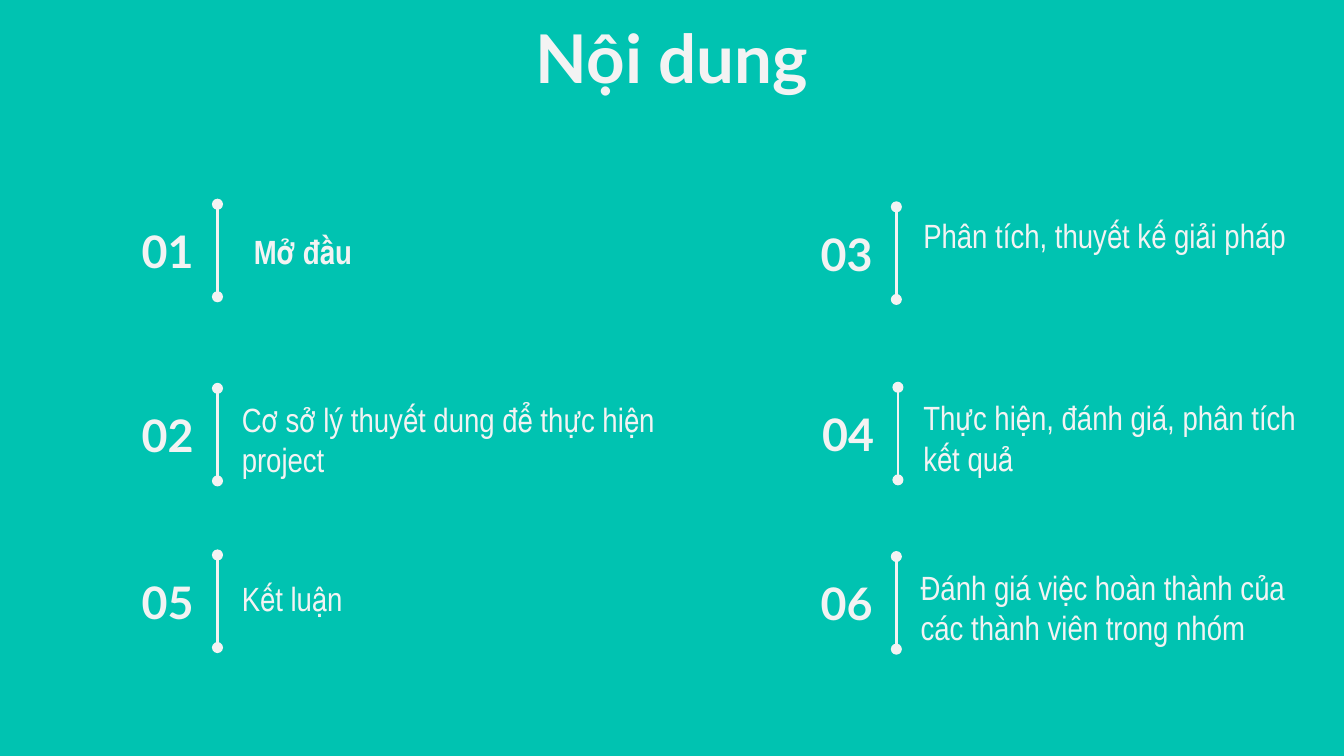
"""Build the contents slide with six numbered topics."""
import pptx
import pptx.util
import pptx.dml.color
import pptx.enum.shapes
import pptx.enum.text
import pptx.oxml.ns
import lxml.etree

Cm, Pt = pptx.util.Cm, pptx.util.Pt
ALIGN = pptx.enum.text.PP_ALIGN
ANCHOR = pptx.enum.text.MSO_ANCHOR
COLORS = {"background": "00C3B1", "text": "F3F3F3"}
HEADING = {"name": "Lato", "bold": True}
BODY = {"name": "Arial Narrow", "size": Pt(18)}


class ContentsSlide:
    def __init__(self, prs):
        self.s = prs.slides.add_slide(prs.slide_layouts[5])
        fill = self.s.background.fill
        fill.solid()
        fill.fore_color.rgb = self.color("background")

    def color(self, key):
        return pptx.dml.color.RGBColor.from_string(COLORS[key])

    def fill_text(self, sp, text, font, align, anchor, after=0):
        tf = sp.text_frame
        frame = {"word_wrap": True, "auto_size": pptx.enum.text.MSO_AUTO_SIZE.NONE,
                 "vertical_anchor": anchor}
        frame.update({f"margin_{side}": Cm(0.25) for side in ("left", "top", "right", "bottom")})
        for name, value in frame.items():
            setattr(tf, name, value)
        p = tf.paragraphs[0]
        p.alignment = align
        p.space_after = Pt(after)
        r = p.add_run()
        r.text = text
        for name, value in font.items():
            setattr(r.font, name, value)
        r.font.color.rgb = self.color("text")

    def title(self, text, x, y, w, h):
        sp = self.s.shapes.title
        for name, value in {"left": x, "top": y, "width": w, "height": h}.items():
            setattr(sp, name, Cm(value))
        self.fill_text(sp, text, {**HEADING, "size": Pt(36)}, ALIGN.CENTER, ANCHOR.MIDDLE)

    def text(self, text, box, font, align, anchor, after=0):
        sp = self.s.shapes.add_textbox(*map(Cm, box))
        self.fill_text(sp, text, font, align, anchor, after)

    def divider(self, x, y, length):
        kind = pptx.enum.shapes.MSO_CONNECTOR.STRAIGHT
        sp = self.s.shapes.add_connector(kind, Cm(x), Cm(y), Cm(x), Cm(y + length))
        sp.line.width = Pt(1.5)
        sp.line.color.rgb = self.color("text")
        qn = pptx.oxml.ns.qn
        ln = sp._element.spPr.get_or_add_ln()
        for end in ("a:headEnd", "a:tailEnd"):
            lxml.etree.SubElement(ln, qn(end), type="oval")
        lxml.etree.SubElement(sp._element.spPr, qn("a:effectLst"))

    def topic(self, number, text, x, y, box, bold=False, align=ALIGN.LEFT):
        self.text(f"{number:02}", (x - 1.88, y + 0.29, 1.68, 1.17),
                  {**HEADING, "size": Pt(24)}, ALIGN.RIGHT, ANCHOR.MIDDLE)
        self.divider(x, y, 1.75)
        self.text(text, box, {**BODY, "bold": bold}, align, ANCHOR.TOP, 16)


def main():
    prs = pptx.Presentation()
    prs.slide_width, prs.slide_height = Cm(25.4), Cm(14.29)
    s = ContentsSlide(prs)
    s.title("Nội dung", 9.45, 0.48, 6.5, 1.17)
    s.topic(1, "Mở đầu", 4.11, 3.86, (3.25, 4.11, 4.95, 1.8), True, ALIGN.CENTER)
    topics = [
        (2, "Cơ sở lý thuyết dung để thực hiện project", 4.11, 7.34, (4.32, 7.29, 8.38, 1.8)),
        (3, "Phân tích, thuyết kế giải pháp", 16.94, 3.91, (17.2, 3.81, 7.7, 2)),
        (4, "Thực hiện, đánh giá, phân tích kết quả", 16.97, 7.32, (17.2, 7.26, 7.7, 1.8)),
        (5, "Kết luận", 4.11, 10.49, (4.32, 10.67, 6.5, 1.8)),
        (6, "Đánh giá việc hoàn thành của các thành viên trong nhóm", 16.94, 10.52,
         (17.15, 10.46, 8.25, 1.75)),
    ]
    for topic in topics:
        s.topic(*topic)
    prs.save("out.pptx")


if __name__ == "__main__":
    main()
